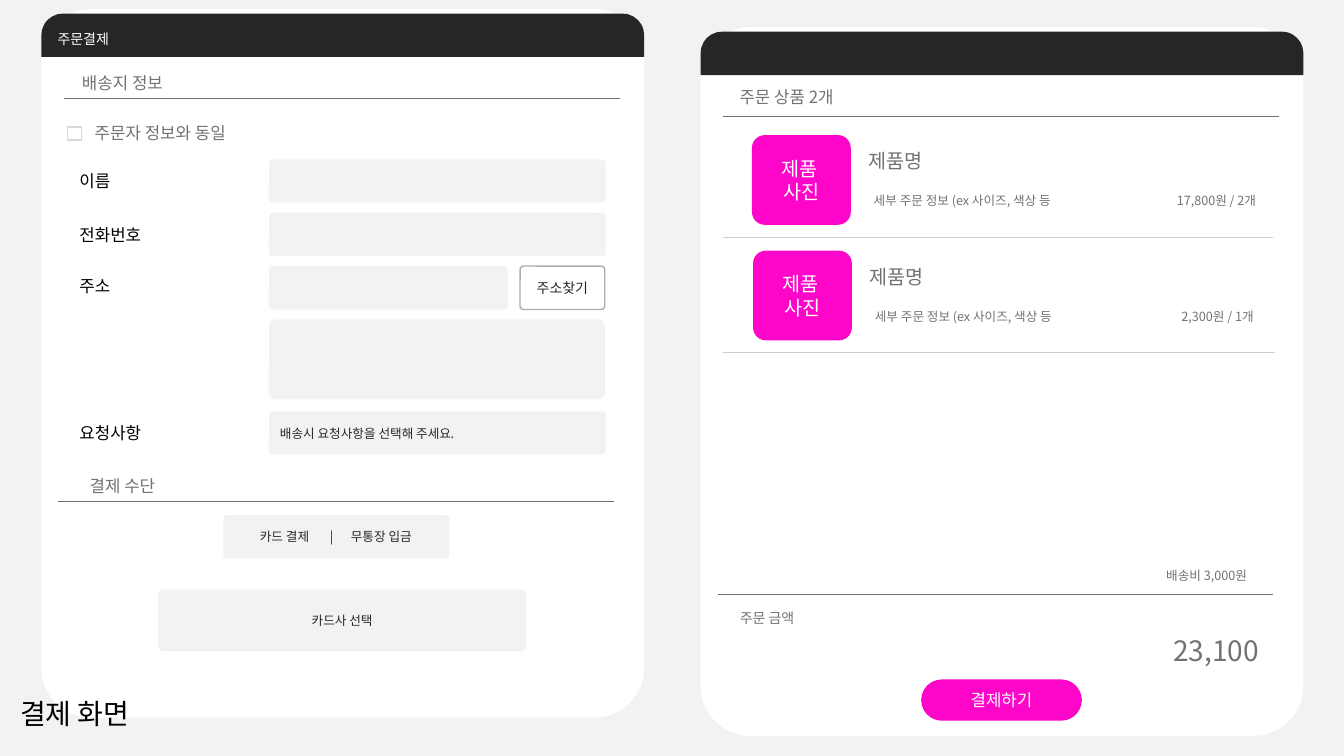
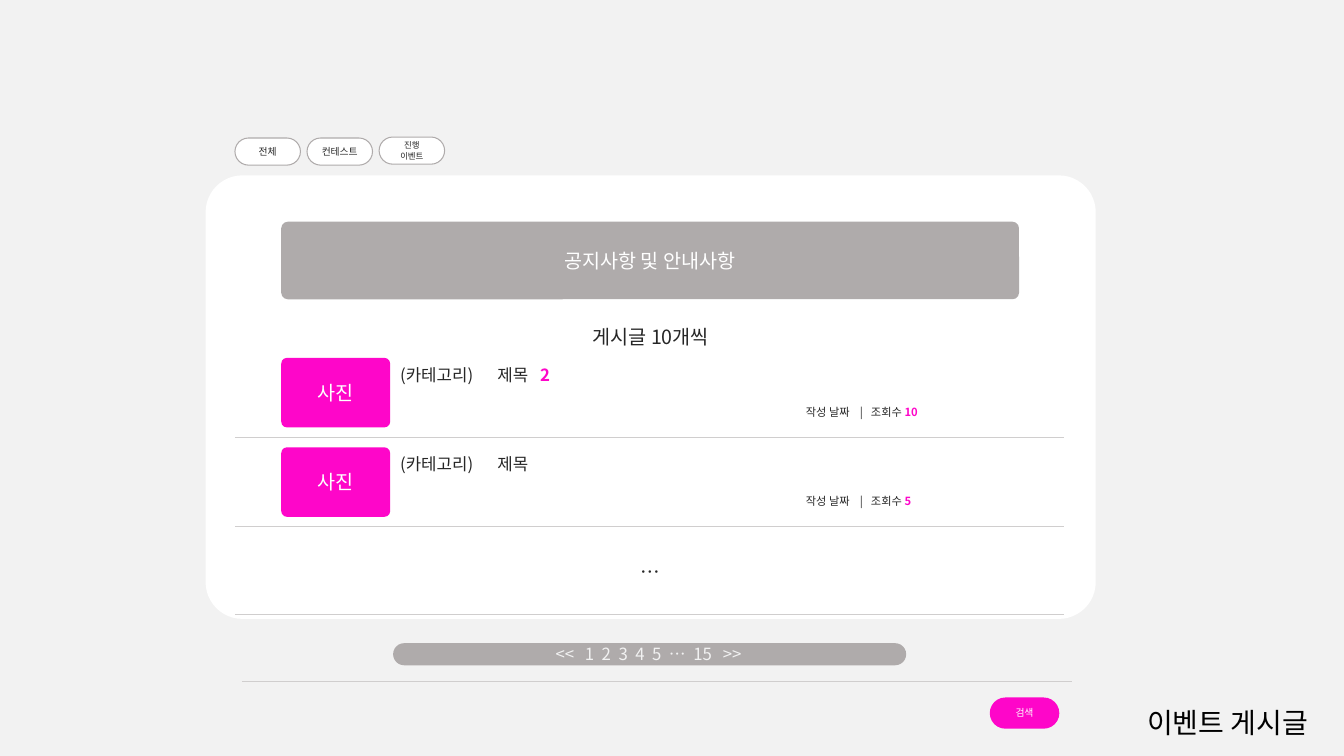
from lxml import etree
from pptx import Presentation
from pptx.dml.color import RGBColor
from pptx.enum.shapes import MSO_CONNECTOR, MSO_SHAPE
from pptx.enum.text import MSO_ANCHOR, PP_ALIGN
from pptx.oxml.ns import qn
from pptx.util import Pt

FONT = "Noto Sans CJK KR"
PAPER = RGBColor(0xF2, 0xF2, 0xF2)
WHITE = RGBColor(0xFF, 0xFF, 0xFF)
BLACK = RGBColor(0x00, 0x00, 0x00)
INK = RGBColor(0x26, 0x26, 0x26)
GRAY = RGBColor(0x76, 0x71, 0x71)
SILVER = RGBColor(0xAF, 0xAB, 0xAB)
PALE = RGBColor(0xD0, 0xCE, 0xCE)
CHECK = RGBColor(0xD9, 0xD9, 0xD9)
PINK = RGBColor(0xFE, 0x06, 0xC9)
LEFT, CENTER = PP_ALIGN.LEFT, PP_ALIGN.CENTER
ROUND = MSO_SHAPE.ROUNDED_RECTANGLE
SMALL, PILL = 0.083, 0.5


def add_box(slide, frame, fill=None, corner=SMALL, kind=ROUND, outline=None, weight=1):
    shape = slide.shapes.add_shape(kind, *map(Pt, frame))
    shape.shadow.inherit = False
    if len(shape.adjustments):
        shape.adjustments[0] = corner
    if fill is None:
        shape.fill.background()
    else:
        shape.fill.solid()
        shape.fill.fore_color.rgb = fill
    if outline is None:
        shape.line.fill.background()
    else:
        shape.line.color.rgb = outline
        shape.line.width = Pt(weight)
    return shape


def write(shape, text, size, color, align=CENTER, inset=7.2, tabs=()):
    """Fill a shape with text and return its last paragraph."""
    frame = shape.text_frame
    frame.word_wrap = True
    frame.vertical_anchor = MSO_ANCHOR.MIDDLE
    frame.margin_left = Pt(inset)
    frame.margin_top = frame.margin_bottom = 0
    frame.text = text
    for paragraph in frame.paragraphs:
        paragraph.alignment = align
        font = paragraph.font
        font.size = Pt(size)
        font.color.rgb = color
        font.name = FONT
        defaults = paragraph._p.pPr.find(qn("a:defRPr"))
        etree.SubElement(defaults, qn("a:ea"), typeface=FONT)
        if tabs:
            stops = etree.Element(qn("a:tabLst"))
            for tab in tabs:
                etree.SubElement(stops, qn("a:tab"), pos=str(int(Pt(tab))), algn="l")
            defaults.addprevious(stops)
    return paragraph


presentation = Presentation()
presentation.slide_width = Pt(960)
presentation.slide_height = Pt(540)

# Both slides: background and screen name
screens = []
for name, left, top, width in (("결제 화면", 0, 494, 107), ("이벤트 게시글", 795, 500.4, 164)):
    slide = presentation.slides.add_slide(presentation.slide_layouts[6])
    slide.background.fill.solid()
    slide.background.fill.fore_color.rgb = PAPER
    screens.append((slide, name, (left, top, width, 31.7)))
payment, board = (screen[0] for screen in screens)

# Payment: two panels with dark headers
for left, top, title in ((29.5, 6.5, "주문결제"), (500.4, 19.4, "")):
    add_box(payment, (left, top, 430.6, 506.2), WHITE)
    header = add_box(payment, (left, top + 3.2, 430.6, 31), INK, PILL,
                     MSO_SHAPE.ROUND_2_SAME_RECTANGLE)
    if title:
        write(header, title, 10, WHITE, LEFT)

# Payment: form fields
for left, top, width, height in (
    (192.2, 113.8, 240.5, 31), (192.2, 152, 240.5, 31),
    (192.2, 190.1, 170.6, 31), (192.2, 228.2, 239.8, 57),
):
    add_box(payment, (left, top, width, height), PAPER)
request = add_box(payment, (192.2, 293.8, 240.5, 31), PAPER)
write(request, "배송시 요청사항을 선택해 주세요.", 9, INK, LEFT)
search = add_box(payment, (371.5, 190.1, 60.5, 31), outline=SILVER)
write(search, "주소찾기", 10, INK)
add_box(payment, (48.2, 90.7, 10.1, 9.4), WHITE, kind=MSO_SHAPE.RECTANGLE, outline=CHECK)

# Payment: method and buttons
method = add_box(payment, (159.6, 368, 161.3, 31), PAPER)
write(method, "카드 결제\t|\t무통장 입금", 9, INK, LEFT, 25.3, (50, 65))
issuer = add_box(payment, (113, 421.2, 262.8, 43.9), PAPER)
write(issuer, "카드사 선택", 9, INK)
pay = add_box(payment, (658, 485.3, 114.8, 29.5), PINK, PILL)
write(pay, "결제하기", 12, WHITE)

# Payment: labels
labels = [
    ("이름", (49.7, 118.1, 62.6, 21.8), 12, BLACK, LEFT),
    ("전화번호", (49.7, 157, 103.7, 21.8), 12, BLACK, LEFT),
    ("주소", (49.7, 193, 103.7, 21.8), 12, BLACK, LEFT),
    ("요청사항", (49.7, 298.1, 62.6, 21.8), 12, BLACK, LEFT),
    ("배송지 정보", (41.8, 48.2, 91.4, 21.8), 12, GRAY, CENTER),
    ("주문자 정보와 동일", (54, 84.2, 121, 21.8), 12, GRAY, CENTER),
    ("결제 수단", (41.8, 336.2, 91.4, 21.8), 12, GRAY, CENTER),
    ("주문 상품 2개", (516.2, 58.3, 91.4, 21.8), 12, GRAY, CENTER),
    ("배송비 3,000원", (810, 401.8, 103.7, 18), 9, GRAY, CENTER),
    ("주문 금액", (516.2, 432, 63.4, 19.4), 10, GRAY, CENTER),
    ("23,100", (828, 448.6, 81.4, 31.7), 20, GRAY, CENTER),
]

# Payment: ordered products
for row, price in enumerate(("17,800원 / 2개", "2,300원 / 1개")):
    left, top = 537.1 + 0.8 * row, 96.5 + 82.5 * row
    photo = add_box(payment, (left, top, 70.6, 64.1), PINK, 0.142)
    write(photo, "제품 \n사진", 14, WHITE)
    labels += [
        ("제품명", (left + 70.6, top + 6.2, 63.4, 24.5), 14, GRAY, CENTER),
        ("세부 주문 정보 (ex 사이즈, 색상 등", (left + 55.5, top + 38, 189.4, 18), 9, GRAY, CENTER),
        (price, (left + 280, top + 38, 103.7, 18), 9, GRAY, CENTER),
    ]
for text, frame, size, color, align in labels:
    write(payment.shapes.add_textbox(*map(Pt, frame)), text, size, color, align)

# Board: filter buttons
for column, (text, size) in enumerate((("전체", 7), ("컨테스트", 7), ("진행\n이벤트", 6))):
    top = 97.9 if column == 2 else 98.6
    button = add_box(board, (167.8 + 51.5 * column, top, 46.8, 19.4), WHITE, PILL,
                     outline=SILVER, weight=0.75)
    write(button, text, size, INK, inset=3.6).runs
    button.text_frame.margin_right = Pt(3.6)

# Board: panel, notice and page bar
add_box(board, (146.9, 125.3, 635.8, 316.8), WHITE)
notice = add_box(board, (200.9, 158.4, 527, 55.4), SILVER)
write(notice, "공지사항 및 안내사항", 14, WHITE)
for text, top in (("게시글 10개씩", 228.5), ("…", 396)):
    caption = board.shapes.add_textbox(Pt(400), Pt(top), Pt(129.6), Pt(24.5))
    write(caption, text, 14, INK)
pages = add_box(board, (280.8, 459.4, 366.5, 15.8), SILVER, PILL)
write(pages, "<<\t1\t2\t3\t4\t5\t…\t15\t>>", 12, PAPER, LEFT, 113.7,
      (21, 33, 45, 57, 69, 81, 98.5, 119.5))
find = add_box(board, (707, 498.2, 49.7, 22.3), PINK, PILL)
write(find, "검색", 7, WHITE)

# Board: posts
for row, (replies, views) in enumerate((("2", "10"), ("", "5"))):
    top = 255.6 + 63.9 * row
    photo = add_box(board, (200.9, top, 77.8, 49.7), PINK)
    write(photo, "사진", 14, WHITE)
    title = board.shapes.add_textbox(Pt(285.8), Pt(top + 1), Pt(250), Pt(21.8))
    meta = board.shapes.add_textbox(Pt(575.7), Pt(top + 30), Pt(150), Pt(17))
    heading = "(카테고리)\t제목" + ("\t" if replies else "")
    for paragraph, count in (
        (write(title, heading, 12, INK, LEFT, 0, (69.5, 100)), replies),
        (write(meta, "작성 날짜\t|\t조회수 ", 8, INK, LEFT, 0, (38.5, 46.5)), views),
    ):
        if count:
            run = paragraph.add_run()
            run.text = count
            run.font.bold = True
            run.font.color.rgb = PINK

# Screen names
for slide, name, frame in screens:
    write(slide.shapes.add_textbox(*map(Pt, frame)), name, 20, BLACK)

# Dividers
for slide, color, left, right, height in (
    (payment, GRAY, 45.4, 442.8, 70.6),
    (payment, GRAY, 41.8, 438.5, 357.8),
    (payment, GRAY, 516.2, 913.7, 82.8),
    (payment, GRAY, 512.6, 909.4, 424.8),
    (payment, PALE, 516.2, 909.4, 169.9),
    (payment, PALE, 516.2, 910.8, 252),
    (board, PALE, 167.8, 760.3, 312.5),
    (board, PALE, 167.8, 760.3, 375.8),
    (board, PALE, 167.8, 760.3, 438.5),
    (board, PALE, 172.8, 765.4, 486.7),
):
    divider = slide.shapes.add_connector(
        MSO_CONNECTOR.STRAIGHT, Pt(left), Pt(height), Pt(right), Pt(height))
    divider.line.color.rgb = color
    divider.line.width = Pt(0.5)
    etree.SubElement(divider._element.spPr, qn("a:effectLst"))

presentation.save("out.pptx")
